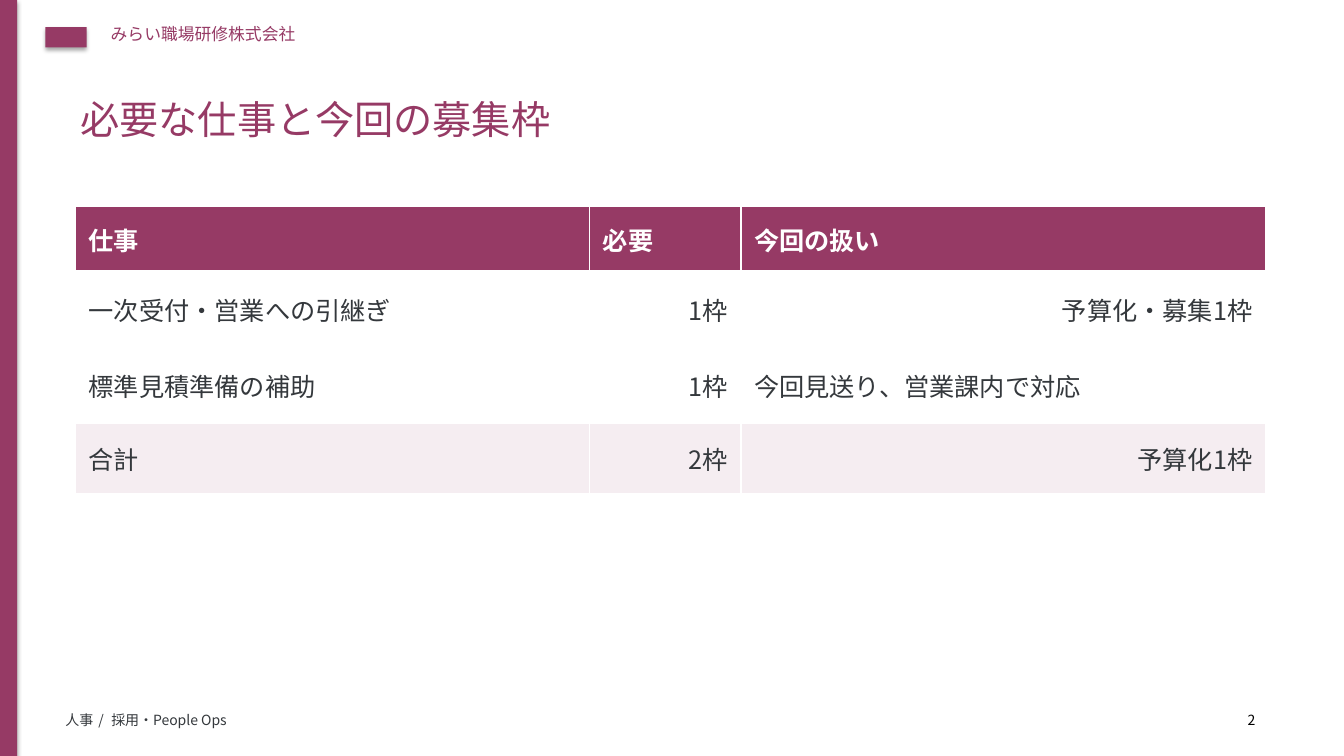
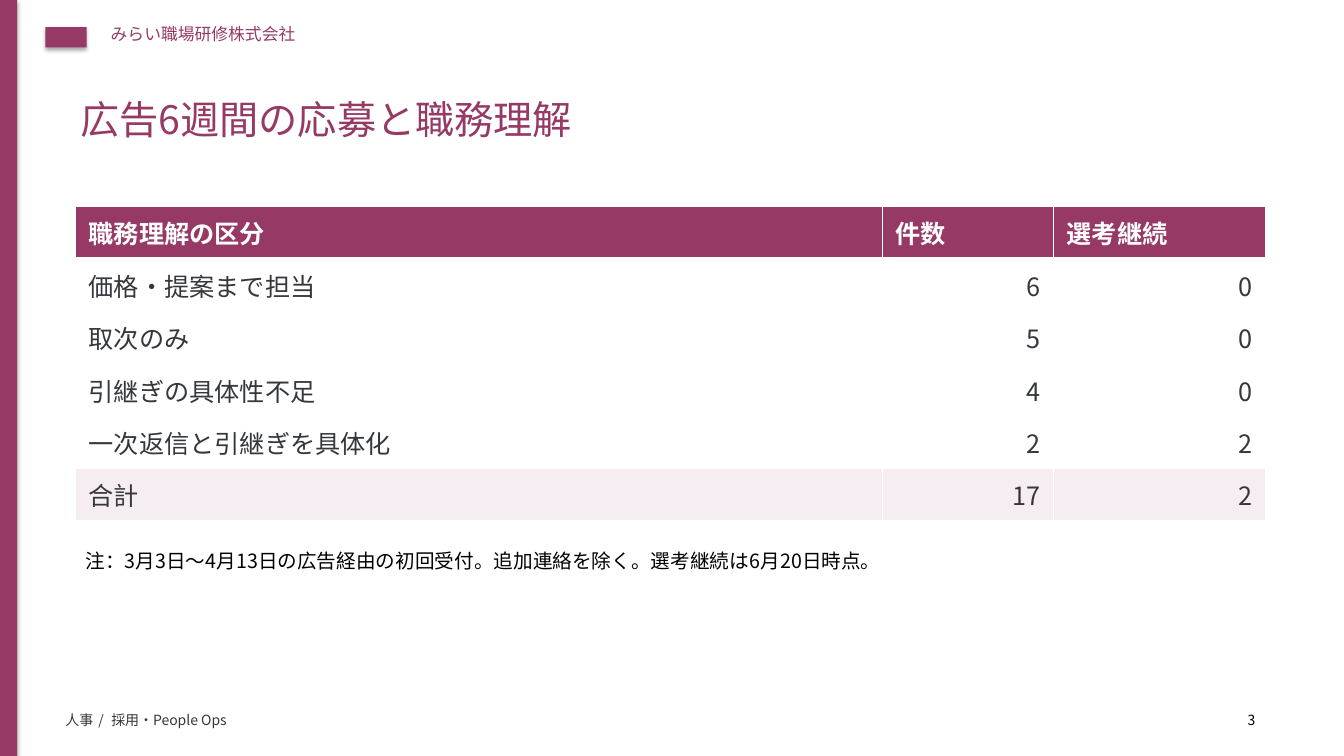
from lxml import etree
from pptx import Presentation
from pptx.dml.color import RGBColor
from pptx.enum.shapes import MSO_SHAPE
from pptx.enum.text import MSO_ANCHOR, PP_ALIGN
from pptx.oxml.ns import qn
from pptx.util import Inches, Pt

# Shared look
PLUM = RGBColor(0x96, 0x3A, 0x65)
ROSE = RGBColor(0xF5, 0xED, 0xF1)
INK = RGBColor(0x34, 0x38, 0x3C)
WHITE = RGBColor(0xFF, 0xFF, 0xFF)
BLACK = RGBColor(0, 0, 0)
FONT = "Noto Sans CJK JP"
RECT = MSO_SHAPE.RECTANGLE
LEFT, RIGHT = PP_ALIGN.LEFT, PP_ALIGN.RIGHT
MIDDLE = MSO_ANCHOR.MIDDLE


def add_run(para, text, size, color, bold=False, track=0):
    """Add one run; track is the letter spacing in points."""
    run = para.add_run()
    run.text = text
    font = run.font
    font.name, font.size, font.bold = FONT, Pt(size), bold
    font.color.rgb = color
    props = run._r.get_or_add_rPr()
    etree.SubElement(props, qn("a:ea")).set("typeface", FONT)
    if track:
        props.set("spc", str(round(track * 100)))


def add_text(slide, box, text, size, color, align=LEFT):
    """Add a one-line text box and return its paragraph."""
    frame = slide.shapes.add_textbox(*map(Inches, box)).text_frame
    frame.word_wrap = True
    para = frame.paragraphs[0]
    para.alignment = align
    add_run(para, text, size, color)
    return para


def add_block(slide, box):
    """Add a plum rectangle with a soft shadow below it."""
    shape = slide.shapes.add_shape(RECT, *map(Inches, box))
    shape.fill.solid()
    shape.fill.fore_color.rgb = PLUM
    shape.line.fill.background()
    shape.shadow.inherit = False
    effects = shape._element.spPr.find(qn("a:effectLst"))
    shadow = etree.SubElement(
        effects, qn("a:outerShdw"), blurRad=str(Pt(3.1)),
        dist=str(Pt(1.8)), dir="5400000", rotWithShape="0")
    tint = etree.SubElement(shadow, qn("a:srgbClr"), val="000000")
    etree.SubElement(tint, qn("a:alpha"), val="35000")


def add_page(deck, title, number):
    """Add a slide with its band, header, title and footer."""
    slide = deck.slides.add_slide(deck.slide_layouts[6])
    slide.background.fill.solid()
    slide.background.fill.fore_color.rgb = WHITE
    add_block(slide, (0, 0, 0.17, 7.5))
    add_block(slide, (0.45, 0.27, 0.41, 0.2))
    add_text(slide, (1, 0.19, 8, 0.4), "みらい職場研修株式会社", 12, PLUM)
    foot = add_text(slide, (0.55, 7.01, 10, 0.3), "人事", 10, INK)
    add_run(foot, " / ", 10, INK, track=1.5)
    add_run(foot, "採用・People Ops", 10, INK)
    add_text(slide, (0.7, 0.9, 11.8, 0.85), title, 28, PLUM)
    add_text(slide, (12.1, 7.01, 0.45, 0.25), str(number), 10, BLACK, RIGHT)
    return slide


def set_edge(cell, side, width):
    """Give one side of a cell a white border."""
    props = cell._tc.get_or_add_tcPr()
    edge = etree.SubElement(props, qn("a:" + side), w=str(Pt(width)))
    fill = etree.SubElement(edge, qn("a:solidFill"))
    etree.SubElement(fill, qn("a:srgbClr"), val=str(WHITE))


def fill_cell(cell, text, head, total):
    """Write a cell; texts with figures are set to the right."""
    cell.margin_left = cell.margin_right = Inches(0.13)
    cell.margin_top = cell.margin_bottom = Inches(0.05)
    cell.vertical_anchor = MIDDLE
    if head:
        for side, width in (("lnL", 1), ("lnR", 1), ("lnT", 1), ("lnB", 3)):
            set_edge(cell, side, width)
    cell.fill.solid()
    cell.fill.fore_color.rgb = PLUM if head else ROSE if total else WHITE
    para = cell.text_frame.paragraphs[0]
    para.alignment = RIGHT if any(c.isdigit() for c in text) else LEFT
    add_run(para, text, 18, WHITE if head else INK, bold=head)


def add_grid(slide, widths, heights, rows):
    """Add a table with a header row and a tinted total row."""
    box = (0.75, 2.05, sum(widths), sum(heights))
    table = slide.shapes.add_table(
        len(rows), len(widths), *map(Inches, box)).table
    table.horz_banding = False
    for col, width in zip(table.columns, widths):
        col.width = Inches(width)
    for line, height in zip(table.rows, heights):
        line.height = Inches(height)
    last = len(rows) - 1
    for i, row in enumerate(rows):
        for j, text in enumerate(row):
            fill_cell(table.cell(i, j), text, i == 0, i == last)


def main():
    deck = Presentation()
    deck.slide_width, deck.slide_height = Inches(13.33), Inches(7.5)

    # Jobs and openings
    jobs = add_page(deck, "必要な仕事と今回の募集枠", 2)
    add_grid(jobs, (5.1, 1.5, 5.2), (0.65, 0.75, 0.75, 0.7), [
        ("仕事", "必要", "今回の扱い"),
        ("一次受付・営業への引継ぎ", "1枠", "予算化・募集1枠"),
        ("標準見積準備の補助", "1枠", "今回見送り、営業課内で対応"),
        ("合計", "2枠", "予算化1枠"),
    ])

    # Applicants by grasp of the job
    pool = add_page(deck, "広告6週間の応募と職務理解", 3)
    add_grid(pool, (8, 1.7, 2.1), [0.52] * 6, [
        ("職務理解の区分", "件数", "選考継続"),
        ("価格・提案まで担当", "6", "0"),
        ("取次のみ", "5", "0"),
        ("引継ぎの具体性不足", "4", "0"),
        ("一次返信と引継ぎを具体化", "2", "2"),
        ("合計", "17", "2"),
    ])
    add_text(pool, (0.75, 5.4, 11.8, 0.65),
             "注：3月3日〜4月13日の広告経由の初回受付。"
             "追加連絡を除く。選考継続は6月20日時点。", 14, BLACK)

    deck.save("out.pptx")


if __name__ == "__main__":
    main()
